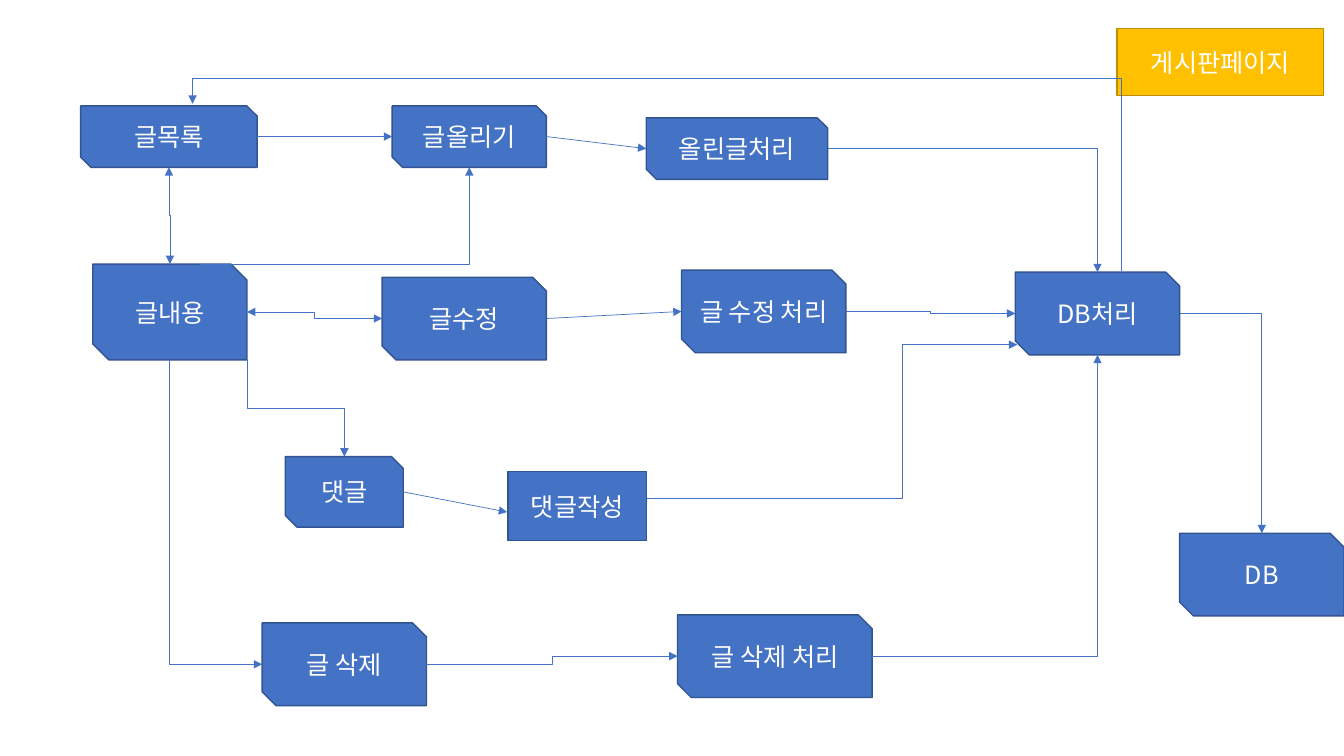
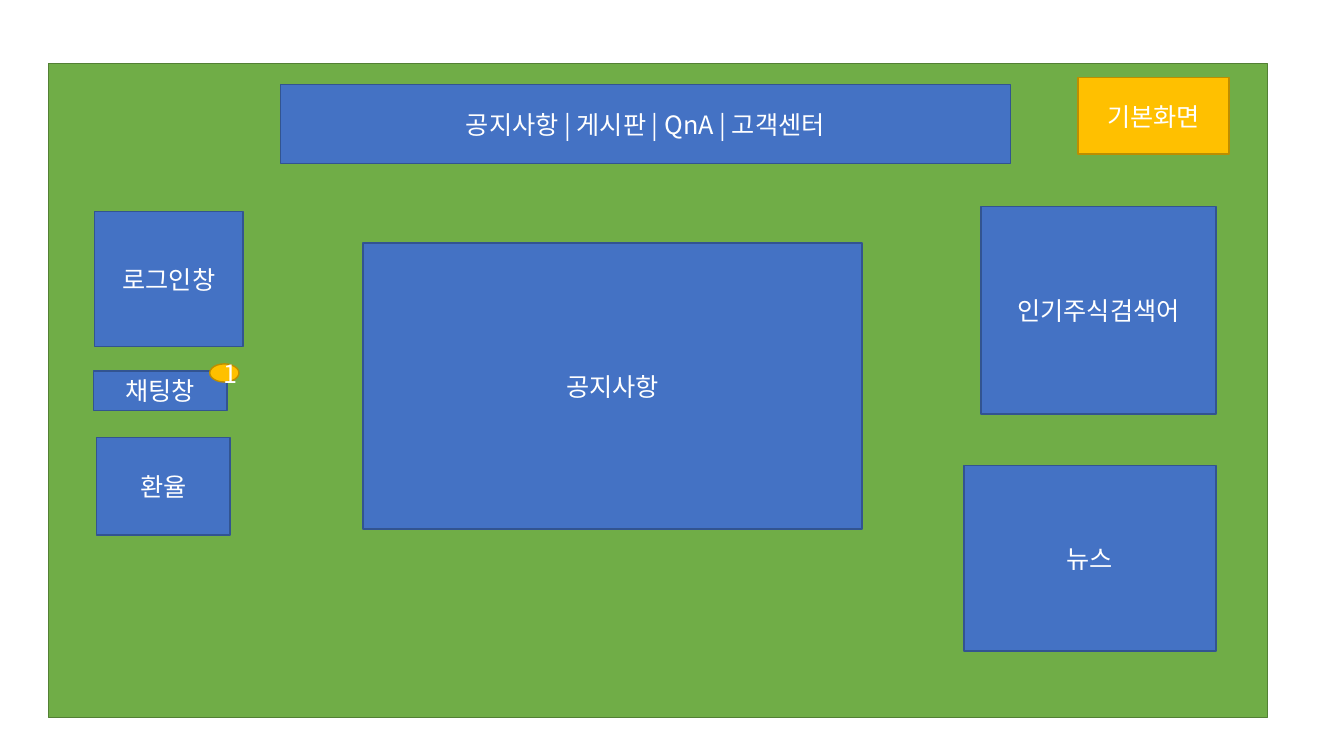
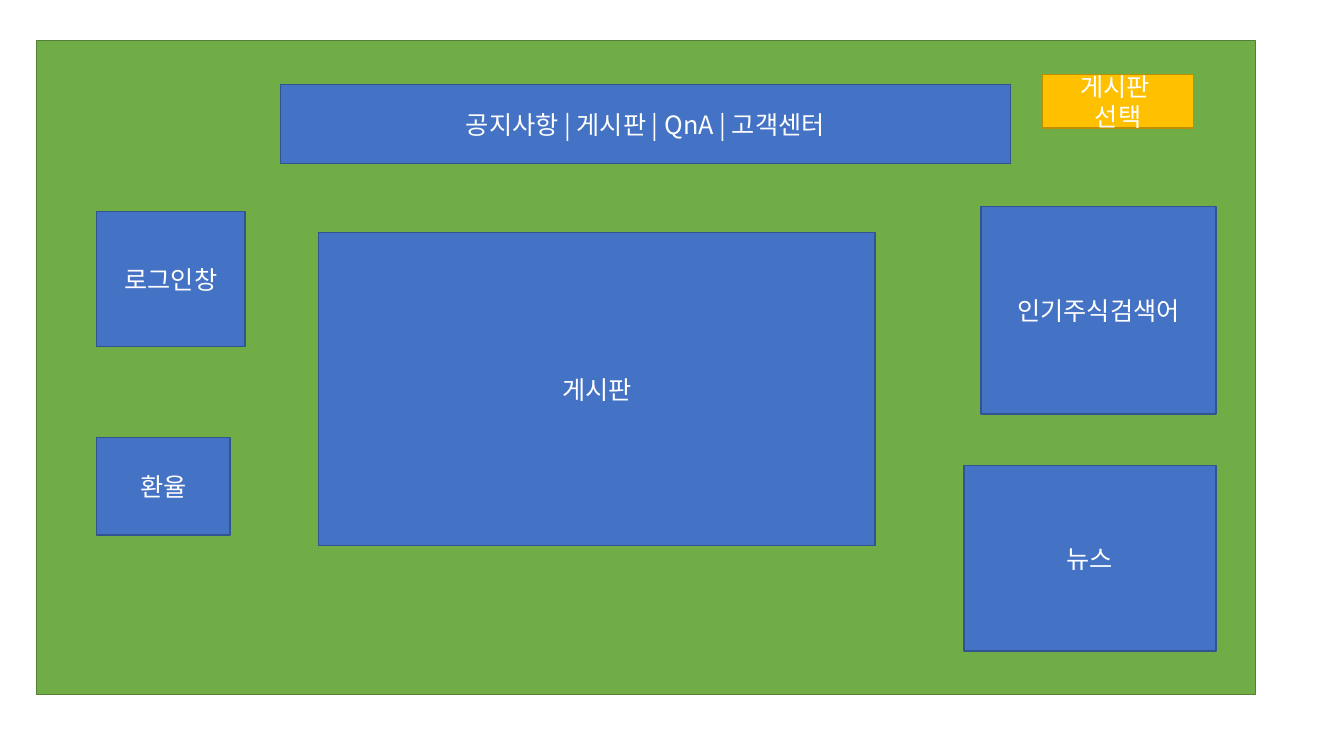
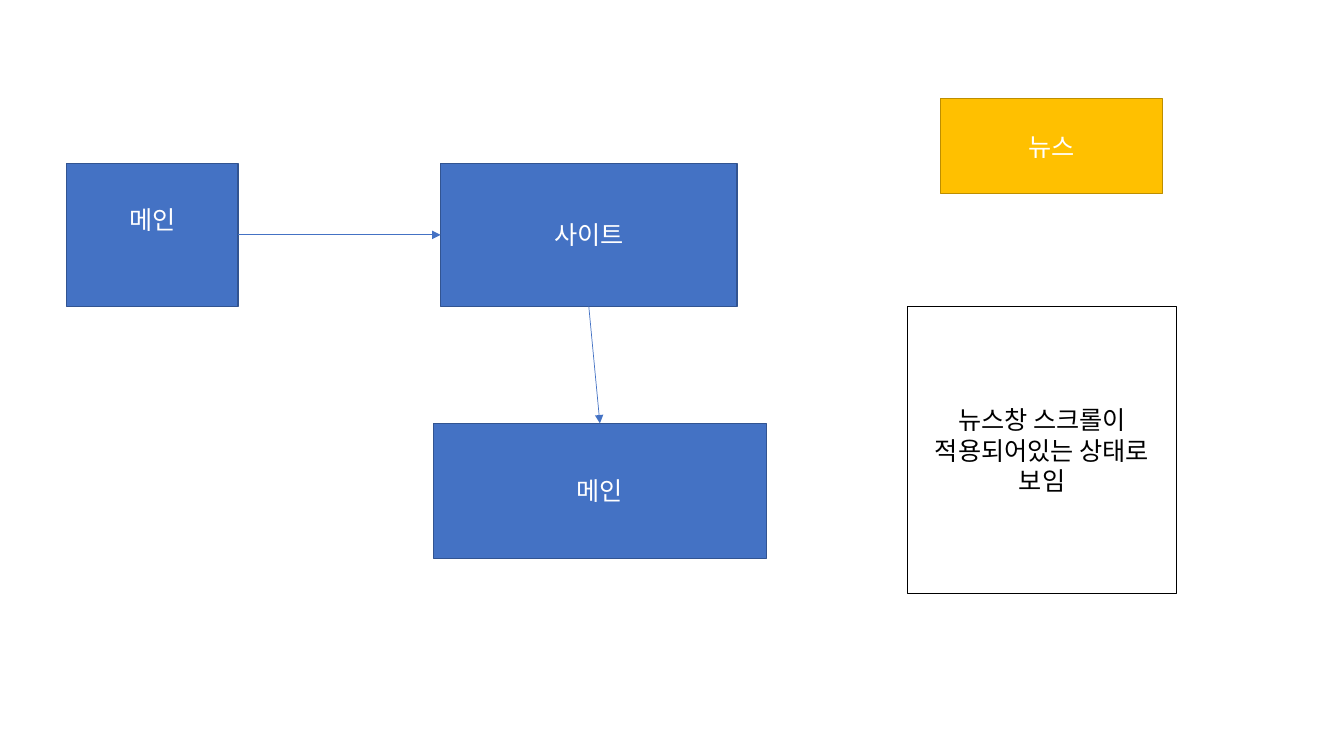
from dataclasses import dataclass

import pptx
import pptx.dml.color
import pptx.enum.shapes
import pptx.enum.text
import pptx.oxml.ns
import pptx.util
from lxml import etree

Inches = pptx.util.Inches
Pt = pptx.util.Pt
RGB = pptx.dml.color.RGBColor.from_string
SHAPE = pptx.enum.shapes.MSO_SHAPE
CONNECTOR = pptx.enum.shapes.MSO_CONNECTOR
qn = pptx.oxml.ns.qn


# Colours, type and line widths; each style is fill, outline, text
@dataclass(frozen=True)
class Theme:
    font: str = "Noto Sans CJK KR"
    size: float = 18
    outline: float = 1
    arrow: float = 0.5
    arrow_color: str = "4472C4"
    box: tuple = ("4472C4", "325491", "FFFFFF")
    tag: tuple = ("FFC000", "BD8E00", "FFFFFF")
    panel: tuple = ("70AD47", "538035", "FFFFFF")
    note: tuple = ("FFFFFF", "000000", "000000")


def side(shape, name):
    """Middle of one side of a shape."""
    x, y, w, h = shape.left, shape.top, shape.width, shape.height
    return {"left": (x, y + h // 2), "right": (x + w, y + h // 2),
            "top": (x + w // 2, y), "bottom": (x + w // 2, y + h)}[name]


def point(x, y):
    return Inches(x), Inches(y)


class Deck:
    def __init__(self, theme):
        self.theme = theme
        self.prs = pptx.Presentation()
        self.prs.slide_width, self.prs.slide_height = point(13.33, 7.5)

    def new_slide(self):
        self.s = self.prs.slides.add_slide(self.prs.slide_layouts[5])

    def format(self, sp, text, style):
        fill, outline, color = style
        sp.fill.solid()
        sp.fill.fore_color.rgb = RGB(fill)
        sp.line.color.rgb = RGB(outline)
        sp.line.width = Pt(self.theme.outline)
        tf = sp.text_frame
        tf.text = text
        tf.word_wrap = True
        tf.auto_size = pptx.enum.text.MSO_AUTO_SIZE.NONE
        tf.vertical_anchor = pptx.enum.text.MSO_ANCHOR.MIDDLE
        for p in tf.paragraphs:
            p.alignment = pptx.enum.text.PP_ALIGN.CENTER
            p.font.size = Pt(self.theme.size)
            p.font.color.rgb = RGB(color)
            p.font.name = self.theme.font
            props = p._p.pPr.find(qn("a:defRPr"))
            etree.SubElement(props, qn("a:ea"), typeface=self.theme.font)

    def title(self, text, x, y, w, h):
        """Slide title as a yellow tag, in front of what is drawn so far."""
        sp = self.s.shapes.title
        sp.left, sp.top, sp.width, sp.height = map(Inches, (x, y, w, h))
        self.format(sp, text, self.theme.tag)
        sp.element.getparent().append(sp.element)

    def box(self, text, x, y, w, h, style=None, kind=SHAPE.RECTANGLE):
        sp = self.s.shapes.add_shape(kind, *map(Inches, (x, y, w, h)))
        sp.shadow.inherit = False
        self.format(sp, text, style or self.theme.box)
        return sp

    def step(self, text, x, y, w=1.63, h=0.82):
        return self.box(text, x, y, w, h, kind=SHAPE.SNIP_2_DIAG_RECTANGLE)

    def arrow(self, start, end, kind=CONNECTOR.STRAIGHT, both=False):
        c = self.s.shapes.add_connector(kind, *map(int, start + end))
        c.line.color.rgb = RGB(self.theme.arrow_color)
        c.line.width = Pt(self.theme.arrow)
        line = c.line._get_or_add_ln()
        for name in ("a:headEnd", "a:tailEnd") if both else ("a:tailEnd",):
            etree.SubElement(line, qn(name), type="triangle")
        etree.SubElement(c.element.spPr, qn("a:effectLst"))
        return c

    def elbow(self, start, end, bends=2, upright=False, both=False, turn=None):
        """Bent arrow; upright leaves the start vertically, turn is the bend's share."""
        if upright:
            (x1, y1), (x2, y2) = start, end
            cx, cy = (x1 + x2) / 2, (y1 + y2) / 2
            dx, dy = (x2 - x1) / 2, (y2 - y1) / 2
            start, end = (cx + dy, cy - dx), (cx - dy, cy + dx)
        c = self.arrow(start, end, CONNECTOR.ELBOW, both)
        if upright:
            c.element.spPr.find(qn("a:xfrm")).set("rot", str(270 * 60000))
        geometry = c.element.spPr.find(qn("a:prstGeom"))
        geometry.set("prst", f"bentConnector{bends + 1}")
        if turn is not None:
            guides = geometry.find(qn("a:avLst"))
            etree.SubElement(guides, qn("a:gd"), name="adj1",
                             fmla=f"val {round(turn * 100000)}")

    def home_screen(self, panel_x, panel_y, login_x):
        """Panel, menu and side boxes shared by the screen layouts."""
        self.box("", panel_x, panel_y, 12.09, 6.49, self.theme.panel)
        self.box("로그인창", login_x, 2.1, 1.47, 1.34)
        self.box("공지사항 | 게시판 | QnA | 고객센터", 2.78, 0.84, 7.24, 0.78)
        self.box("인기주식검색어", 9.73, 2.05, 2.33, 2.06)
        self.box("뉴스", 9.56, 4.62, 2.5, 1.84)
        self.box("환율", 0.96, 4.34, 1.32, 0.97)


theme = Theme()
d = Deck(theme)

# Slide 1: board page flow
d.new_slide()
d.title("게시판페이지", 11.08, 0.28, 2.05, 0.67)
post_list = d.step("글목록", 0.8, 1.05, 1.75, 0.61)
write = d.step("글올리기", 3.89, 1.05, 1.53, 0.61)
save_post = d.step("올린글처리", 6.41, 1.17, 1.8, 0.61)
db_work = d.step("DB처리", 10.07, 2.7)
db = d.step("DB", 11.7, 5.29)
edit = d.step("글수정", 3.79, 2.75)
save_edit = d.step("글 수정 처리", 6.76, 2.68)
delete = d.step("글 삭제", 2.6, 6.18)
save_delete = d.step("글 삭제 처리", 6.72, 6.1, 1.93)
content = d.step("글내용", 0.92, 2.62, 1.53, 0.95)
comment = d.step("댓글", 2.83, 4.53, 1.17, 0.7)
write_comment = d.box("댓글작성", 5.04, 4.68, 1.37, 0.68)

# Straight steps from left to right
for a, b in ((post_list, write), (write, save_post), (edit, save_edit)):
    d.arrow(side(a, "right"), side(b, "left"))
d.arrow(side(comment, "right"), point(5.03, 5.08))

# Single bends
d.elbow(side(save_post, "right"), side(db_work, "top"), bends=1)
d.elbow(side(db_work, "right"), side(db, "top"), bends=1)
d.elbow(side(save_delete, "right"), side(db_work, "bottom"), bends=1)
d.elbow((Inches(1.98), content.top), side(write, "bottom"), bends=1)
d.elbow(side(content, "bottom"), side(delete, "left"), bends=1, upright=True)

# Double bends
d.elbow(side(content, "right"), side(edit, "left"), both=True)
d.elbow(side(post_list, "bottom"), side(content, "top"), upright=True, both=True)
d.elbow(side(save_edit, "right"), side(db_work, "left"))
d.elbow(side(delete, "right"), side(save_delete, "left"))
d.elbow((content.left + content.width, content.top + content.height),
        side(comment, "top"), upright=True)
d.elbow(point(6.42, 4.94), point(10.09, 3.42), turn=0.69)
d.elbow(point(11.12, 2.69), point(1.91, 1.03), upright=True, turn=1.15)

# Slide 2: default screen
d.new_slide()
d.home_screen(0.48, 0.63, login_x=0.94)
d.title("기본화면", 10.69, 0.77, 1.5, 0.76)
d.box("공지사항", 3.6, 2.41, 4.95, 2.84)
d.box("채팅창", 0.93, 3.68, 1.32, 0.39)
d.box("1", 2.08, 3.61, 0.29, 0.18, theme.tag, SHAPE.OVAL)

# Slide 3: board selected
d.new_slide()
d.home_screen(0.36, 0.4, login_x=0.96)
d.box("게시판", 3.16, 2.31, 5.52, 3.1)
d.title("게시판 \n선택", 10.34, 0.74, 1.5, 0.53)

# Slide 4: news flow
d.new_slide()
d.title("뉴스", 9.33, 0.98, 2.2, 0.94)
main = d.box("메인", 0.66, 1.62, 1.7, 1.42)
main.text_frame.margin_bottom = Inches(0.35)
site = d.box("사이트", 4.37, 1.62, 2.94, 1.42)
back_to_main = d.box("메인", 4.3, 4.2, 3.3, 1.34)
d.arrow(side(main, "right"), side(site, "left"))
d.arrow(side(site, "bottom"), side(back_to_main, "top"))
d.box("뉴스창 스크롤이 적용되어있는 상태로 보임", 9, 3.04, 2.67, 2.85, theme.note)

d.prs.save("out.pptx")
